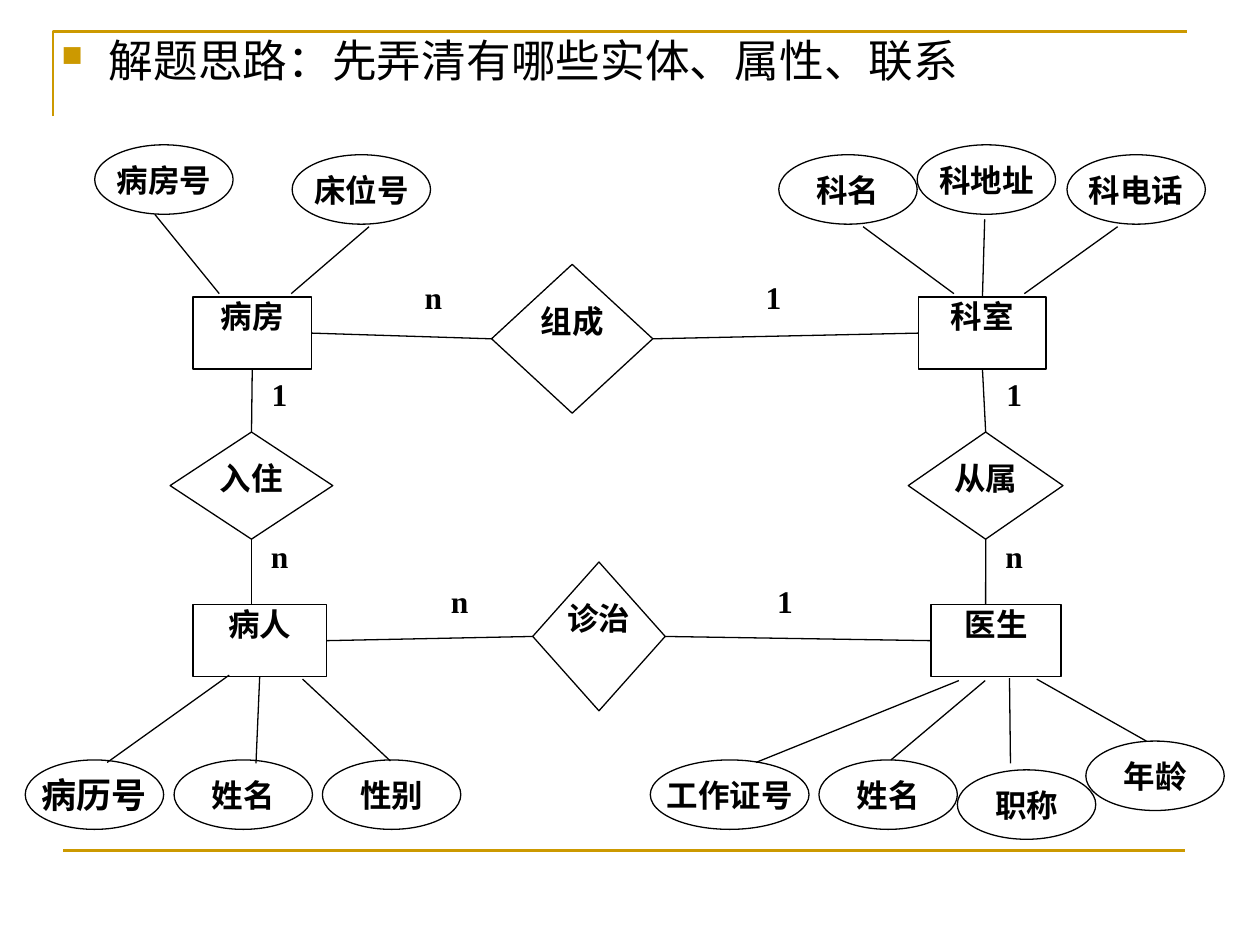
from lxml.etree import SubElement
from pptx import Presentation
from pptx.dml.color import RGBColor
from pptx.enum.shapes import MSO_CONNECTOR, MSO_SHAPE
from pptx.enum.text import MSO_ANCHOR, PP_ALIGN
from pptx.oxml.ns import qn
from pptx.util import Cm, Pt

COLORS = {"ink": "000000", "paper": "FFFFFF", "gold": "CC9900"}
TITLE = "解题思路：先弄清有哪些实体、属性、联系"
TOP, LEFT, BOTTOM, RIGHT = range(4)

# name: (left, top, width, height), all positions in centimetres
ENTITIES = {
    "病房": (3.89, 5.99, 2.39, 1.45),
    "科室": (18.52, 5.99, 2.57, 1.45),
    "病人": (3.89, 12.19, 2.69, 1.45),
    "医生": (18.77, 12.19, 2.62, 1.45),
}
RELATIONS = {
    "组成": (9.91, 5.33, 3.25, 3.0),
    "入住": (3.43, 8.71, 3.28, 2.16),
    "从属": (18.31, 8.71, 3.12, 2.16),
    "诊治": (10.74, 11.33, 2.67, 3.0),
}
# relation, its side, entity, its side, line meets the middle of the entity's side
LINKS = [
    ("组成", LEFT, "病房", RIGHT, True),
    ("组成", RIGHT, "科室", LEFT, True),
    ("入住", TOP, "病房", BOTTOM, True),
    ("入住", BOTTOM, "病人", TOP, False),
    ("从属", TOP, "科室", BOTTOM, True),
    ("从属", BOTTOM, "医生", TOP, False),
    ("诊治", LEFT, "病人", RIGHT, True),
    ("诊治", RIGHT, "医生", LEFT, True),
]
# text, left, top
CARDINALITIES = [
    ("n", 8.28, 5.61), ("1", 15.14, 5.61),
    ("1", 5.18, 7.57), ("1", 19.99, 7.57),
    ("n", 5.18, 10.82), ("n", 19.99, 10.82),
    ("n", 8.81, 11.73), ("1", 15.37, 11.73),
]
# entity, side: (text, left, top, line start, line end; None is the middle of the side)
ATTRIBUTES = {
    ("病房", TOP): [
        ("病房号", 1.91, 2.92, (3.12, 4.32), (4.42, 5.92)),
        ("床位号", 5.89, 3.12, (7.44, 4.57), (5.87, 5.92)),
    ],
    ("科室", TOP): [
        ("科名", 15.7, 3.12, (17.4, 4.57), (19.23, 5.92)),
        ("科地址", 18.49, 2.92, (19.85, 4.42), None),
        ("科电话", 21.51, 3.12, (22.53, 4.57), (20.65, 5.92)),
    ],
    ("病人", BOTTOM): [
        ("病历号", 0.51, 15.32, (2.16, 15.37), (4.62, 13.61)),
        ("姓名", 3.51, 15.32, (5.16, 15.39), None),
        ("性别", 6.5, 15.32, (7.87, 15.34), (6.1, 13.69)),
    ],
    ("医生", BOTTOM): [
        ("工作证号", 13.11, 15.32, (15.24, 15.37), (19.33, 13.72)),
        ("姓名", 16.51, 15.32, (17.96, 15.32), (19.86, 13.72)),
        ("职称", 19.3, 15.52, (20.37, 15.39), (20.35, 13.67)),
        ("年龄", 21.89, 14.94, (23.11, 14.94), (20.9, 13.69)),
    ],
}
ATTRIBUTE_WIDTH, WIDE_ATTRIBUTE_WIDTH, ATTRIBUTE_HEIGHT = 2.79, 3.2, 1.4
LARGE_ATTRIBUTE = "病历号"


def color(name):
    return RGBColor.from_string(COLORS[name])


def set_line(shape, name="ink", width=0.75):
    shape.line.color.rgb = color(name)
    shape.line.width = Pt(width)


def write(shape, text, font="Times New Roman", size=18):
    """Centre bold text at the top of a shape, without margins."""
    frame = shape.text_frame
    frame.word_wrap = True
    frame.vertical_anchor = MSO_ANCHOR.TOP
    frame.margin_left = frame.margin_right = frame.margin_top = frame.margin_bottom = 0
    paragraph = frame.paragraphs[0]
    paragraph.text = text
    paragraph.alignment = PP_ALIGN.CENTER
    paragraph.font.name = font
    paragraph.font.size = Pt(size)
    paragraph.font.bold = True
    paragraph.font.color.rgb = color("ink")


def add_node(slide, kind, box, text, **font):
    shape = slide.shapes.add_shape(kind, *map(Cm, box))
    shape.shadow.inherit = False
    shape.fill.solid()
    shape.fill.fore_color.rgb = color("paper")
    set_line(shape)
    write(shape, text, **font)
    return shape


def add_line(slide, start, end, **style):
    connector = slide.shapes.add_connector(
        MSO_CONNECTOR.STRAIGHT, *map(Cm, (*start, *end)))
    set_line(connector, **style)
    SubElement(connector._element.spPr, qn("a:effectLst"))
    return connector


def side_middle(box, side):
    left, top, width, height = box
    return {
        TOP: (left + width / 2, top),
        LEFT: (left, top + height / 2),
        BOTTOM: (left + width / 2, top + height),
        RIGHT: (left + width, top + height / 2),
    }[side]


def add_frame_and_title(slide):
    builder = slide.shapes.build_freeform(Cm(1.07), Cm(2.34))
    builder.add_line_segments(
        [(Cm(1.07), Cm(0.64)), (Cm(23.93), Cm(0.64))], close=False)
    corner = builder.convert_to_shape()
    corner.shadow.inherit = False
    corner.fill.background()
    set_line(corner, "gold", 1.5)
    add_line(slide, (1.27, 17.15), (23.88, 17.15), name="gold", width=1.5)

    title = slide.shapes.add_textbox(Cm(0.99), Cm(0.53), Cm(22.5), Cm(1.4))
    title.text_frame.word_wrap = True
    paragraph = title.text_frame.paragraphs[0]
    paragraph.text = TITLE
    properties = paragraph._p.get_or_add_pPr()
    properties.set("marL", str(Cm(0.95)))
    properties.set("indent", str(-Cm(0.95)))
    bullet_color = SubElement(properties, qn("a:buClr"))
    SubElement(bullet_color, qn("a:srgbClr"), val=COLORS["gold"])
    SubElement(properties, qn("a:buSzPct"), val="65000")
    SubElement(properties, qn("a:buChar"), char="■")
    paragraph.font.name = "Arial"
    paragraph.font.size = Pt(25.5)
    paragraph.font.color.rgb = color("ink")


def add_attribute(slide, entity, entity_name, side, attribute):
    text, left, top, start, end = attribute
    width = WIDE_ATTRIBUTE_WIDTH if len(text) > 3 else ATTRIBUTE_WIDTH
    size = 20 if text == LARGE_ATTRIBUTE else 18
    oval = add_node(slide, MSO_SHAPE.OVAL, (left, top, width, ATTRIBUTE_HEIGHT),
                    text, font="Arial", size=size)
    oval.fill.background()
    oval.text_frame.word_wrap = False
    oval.text_frame.vertical_anchor = MSO_ANCHOR.MIDDLE
    middle = side_middle(ENTITIES[entity_name], side)
    connector = add_line(slide, start, end or middle)
    if end is None:
        connector.end_connect(entity, side)


def main():
    presentation = Presentation()
    presentation.slide_width, presentation.slide_height = Cm(25.4), Cm(19.05)
    slide = presentation.slides.add_slide(presentation.slide_layouts[6])
    add_frame_and_title(slide)

    entities = {name: add_node(slide, MSO_SHAPE.RECTANGLE, box, name)
                for name, box in ENTITIES.items()}
    relations = {name: add_node(slide, MSO_SHAPE.FLOWCHART_DECISION, box, name)
                 for name, box in RELATIONS.items()}

    for relation, relation_side, entity, entity_side, meets_middle in LINKS:
        start = side_middle(RELATIONS[relation], relation_side)
        end = side_middle(ENTITIES[entity], entity_side)
        connector = add_line(slide, start, end if meets_middle else (start[0], end[1]))
        connector.begin_connect(relations[relation], relation_side)
        if meets_middle:
            connector.end_connect(entities[entity], entity_side)

    for text, left, top in CARDINALITIES:
        write(slide.shapes.add_textbox(Cm(left), Cm(top), Cm(0.91), Cm(1.12)), text)

    for (entity, side), attributes in ATTRIBUTES.items():
        for attribute in attributes:
            add_attribute(slide, entities[entity], entity, side, attribute)

    presentation.save("out.pptx")


if __name__ == "__main__":
    main()
